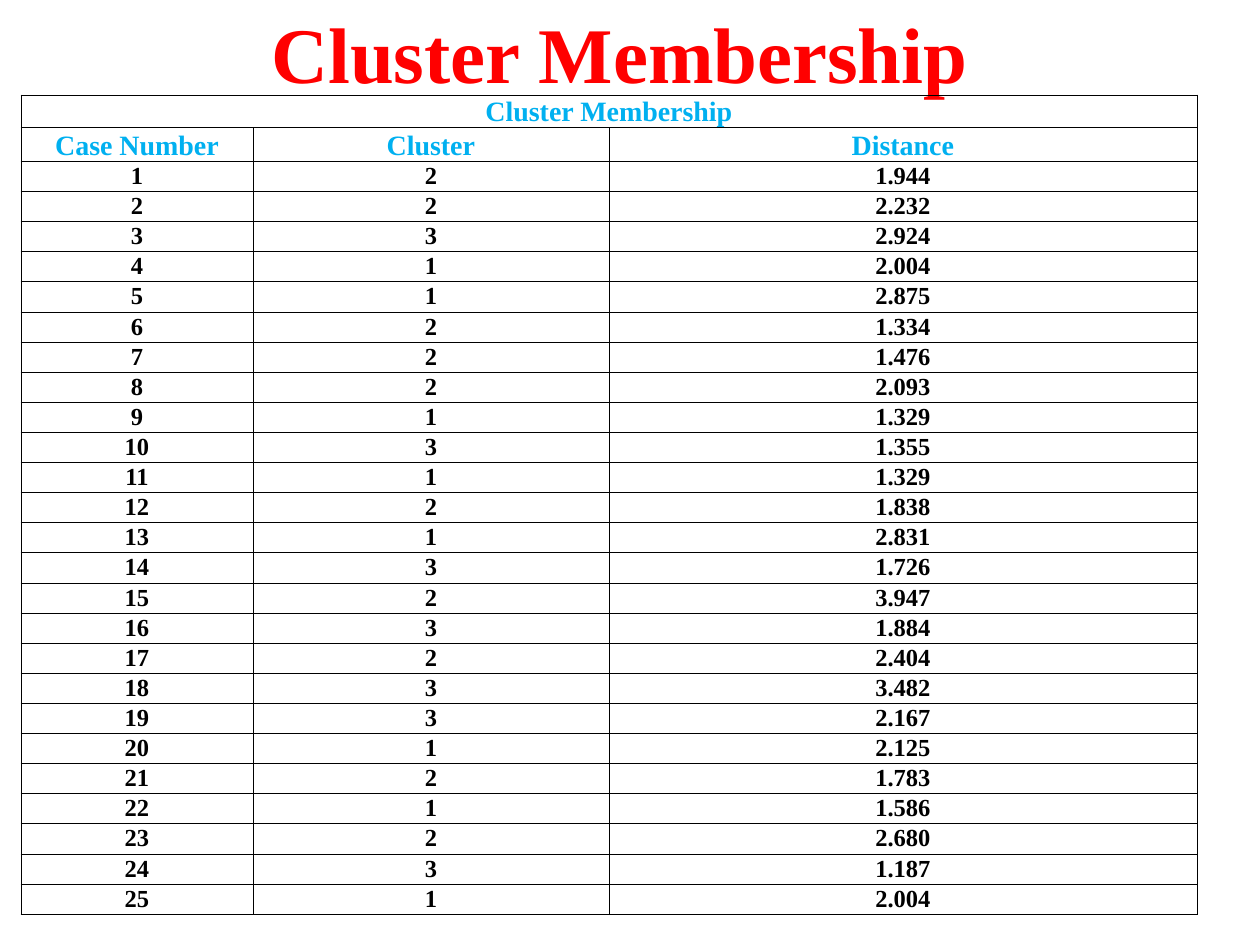
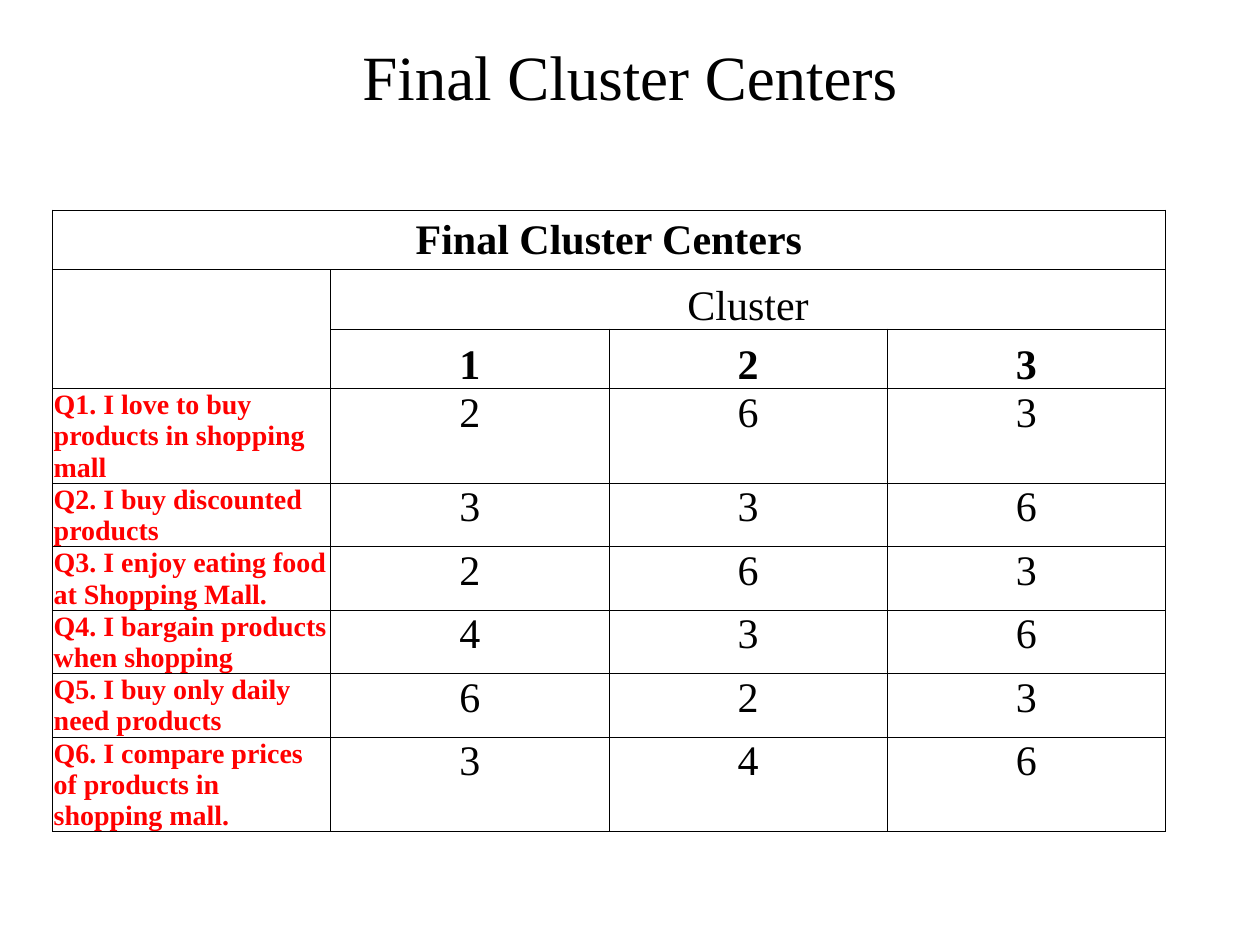
from dataclasses import dataclass

from lxml.etree import SubElement
from pptx import Presentation
from pptx.dml.color import RGBColor
from pptx.enum.text import MSO_ANCHOR, MSO_AUTO_SIZE, PP_ALIGN
from pptx.oxml.ns import qn
from pptx.slide import Slide
from pptx.table import _Cell
from pptx.text.text import _Paragraph
from pptx.util import Inches, Length, Pt


@dataclass(frozen=True)
class TextStyle:
    size: float
    color: RGBColor
    bold: bool = False
    align: PP_ALIGN = PP_ALIGN.CENTER
    anchor: MSO_ANCHOR = MSO_ANCHOR.TOP


@dataclass(frozen=True)
class Theme:
    font: str = "Times New Roman"
    black: RGBColor = RGBColor(0x00, 0x00, 0x00)
    red: RGBColor = RGBColor(0xFF, 0x00, 0x00)
    blue: RGBColor = RGBColor(0x00, 0xB0, 0xF0)
    border: float = 0.5
    cell_margin: float = 0.01
    big_title: float = 45
    title: float = 36
    large: float = 24
    medium: float = 16
    small: float = 14


@dataclass(frozen=True)
class Area:
    left: float
    top: float
    width: float
    height: float


@dataclass(frozen=True)
class Entry:
    text: str
    style: TextStyle
    row_span: int = 1
    column_span: int = 1


@dataclass(frozen=True)
class TitleBlock:
    text: str
    area: Area
    style: TextStyle
    top_margin: float


@dataclass(frozen=True)
class TableBlock:
    left: float
    top: float
    columns: list[float]
    rows: list[float]
    entries: list[list[Entry | None]]


THEME = Theme()
GRID_COLUMNS, GRID_ROWS = 120, 90
SLIDE_WIDTH, SLIDE_HEIGHT = Inches(10), Inches(7.5)

CLUSTERS = [2, 2, 3, 1, 1, 2, 2, 2, 1, 3, 1, 2, 1, 3, 2, 3, 2, 3, 3, 1, 2, 1, 2, 3, 1]
DISTANCES = [
    1.944, 2.232, 2.924, 2.004, 2.875, 1.334, 1.476, 2.093, 1.329,
    1.355, 1.329, 1.838, 2.831, 1.726, 3.947, 1.884, 2.404, 3.482,
    2.167, 2.125, 1.783, 1.586, 2.680, 1.187, 2.004,
]
CENTERS = {
    "Q1. I love to buy products in shopping mall": (2, 6, 3),
    "Q2. I buy discounted products": (3, 3, 6),
    "Q3. I enjoy eating food at Shopping Mall.": (2, 6, 3),
    "Q4. I bargain products when shopping": (4, 3, 6),
    "Q5. I buy only daily need products": (6, 2, 3),
    "Q6. I compare prices of products in shopping mall.": (3, 4, 6),
}


def across(columns: float) -> Length:
    return Length(round(SLIDE_WIDTH * columns / GRID_COLUMNS))


def down(rows: float) -> Length:
    return Length(round(SLIDE_HEIGHT * rows / GRID_ROWS))


def write(para: _Paragraph, text: str, style: TextStyle) -> None:
    para.alignment = style.align
    para.font.size = Pt(style.size)
    if not text:
        return
    span = para.add_run()
    span.text = text
    span.font.name = THEME.font
    span.font.size = Pt(style.size)
    span.font.bold = style.bold
    span.font.color.rgb = style.color


def draw_title(page: Slide, title: TitleBlock) -> None:
    box = page.shapes.title
    box.left, box.top = across(title.area.left), down(title.area.top)
    box.width, box.height = across(title.area.width), down(title.area.height)
    frame = box.text_frame
    frame.auto_size = MSO_AUTO_SIZE.NONE
    frame.word_wrap = True
    frame.vertical_anchor = title.style.anchor
    frame.margin_top = Inches(title.top_margin)
    write(frame.paragraphs[0], title.text, title.style)


def format_cell(cell: _Cell) -> None:
    cell.margin_left = cell.margin_right = cell.margin_top = Inches(THEME.cell_margin)
    cell.margin_bottom = 0
    cell.text_frame.paragraphs[0].font.size = Pt(THEME.small)
    properties = cell._tc.get_or_add_tcPr()
    for side in ("a:lnL", "a:lnR", "a:lnT", "a:lnB"):
        line = SubElement(properties, qn(side), w=str(Pt(THEME.border)))
        fill = SubElement(line, qn("a:solidFill"))
        SubElement(fill, qn("a:srgbClr"), val=str(THEME.black))
    cell.fill.background()


def draw_table(page: Slide, block: TableBlock) -> None:
    table = page.shapes.add_table(
        len(block.rows), len(block.columns), across(block.left), down(block.top),
        across(sum(block.columns)), down(sum(block.rows)),
    ).table
    table.first_row = table.horz_banding = False
    for column, width in zip(table.columns, block.columns):
        column.width = across(width)
    for row, height in zip(table.rows, block.rows):
        row.height = down(height)
    for cell in table.iter_cells():
        format_cell(cell)
    for row_index, row_entries in enumerate(block.entries):
        for column_index, entry in enumerate(row_entries):
            if entry is None:
                continue
            cell = table.cell(row_index, column_index)
            if entry.row_span > 1 or entry.column_span > 1:
                cell.merge(table.cell(
                    row_index + entry.row_span - 1,
                    column_index + entry.column_span - 1,
                ))
            cell.vertical_anchor = entry.style.anchor
            write(cell.text_frame.paragraphs[0], entry.text, entry.style)


def membership_table() -> TableBlock:
    caption = TextStyle(THEME.medium, THEME.blue, True, anchor=MSO_ANCHOR.MIDDLE)
    heading = TextStyle(THEME.medium, THEME.blue, True, anchor=MSO_ANCHOR.BOTTOM)
    value = TextStyle(THEME.small, THEME.black, True)
    entries = [
        [Entry("Cluster Membership", caption, column_span=3), None, None],
        [Entry(name, heading) for name in ("Case Number", "Cluster", "Distance")],
    ]
    for case, (cluster, distance) in enumerate(zip(CLUSTERS, DISTANCES), start=1):
        texts = (str(case), str(cluster), f"{distance:.3f}")
        entries.append([Entry(text, value) for text in texts])
    rows = [3.05, 3.24] + [2.87] * len(CLUSTERS)
    return TableBlock(2, 9.05, [22.1, 33.9, 56], rows, entries)


def centers_table() -> TableBlock:
    caption = TextStyle(THEME.large, THEME.black, True, anchor=MSO_ANCHOR.MIDDLE)
    group = TextStyle(THEME.large, THEME.black, anchor=MSO_ANCHOR.BOTTOM)
    heading = TextStyle(THEME.large, THEME.black, True, anchor=MSO_ANCHOR.BOTTOM)
    question_style = TextStyle(THEME.medium, THEME.red, True, PP_ALIGN.LEFT)
    value = TextStyle(THEME.large, THEME.black)
    entries = [
        [Entry("Final Cluster Centers", caption, column_span=4), None, None, None],
        [Entry("", value, row_span=2), Entry("Cluster", group, column_span=3), None, None],
        [None] + [Entry(str(number), heading) for number in (1, 2, 3)],
    ]
    for question, scores in CENTERS.items():
        entries.append(
            [Entry(question, question_style)] + [Entry(str(score), value) for score in scores]
        )
    return TableBlock(5, 20, [106 / 4] * 4, [5.67] * len(entries), entries)


def main() -> None:
    deck = Presentation()
    deck.slide_width, deck.slide_height = SLIDE_WIDTH, SLIDE_HEIGHT
    title_only = deck.slide_layouts[5]
    pages = [
        (
            TitleBlock("Cluster Membership", Area(2, 0, 114, 10),
                       TextStyle(THEME.big_title, THEME.red, True), 0.04),
            membership_table(),
        ),
        (
            TitleBlock("Final Cluster Centers", Area(6, 3.6, 108, 15),
                       TextStyle(THEME.title, THEME.black), 0),
            centers_table(),
        ),
    ]
    for title, table in pages:
        page = deck.slides.add_slide(title_only)
        draw_title(page, title)
        draw_table(page, table)
    deck.save("out.pptx")


if __name__ == "__main__":
    main()
